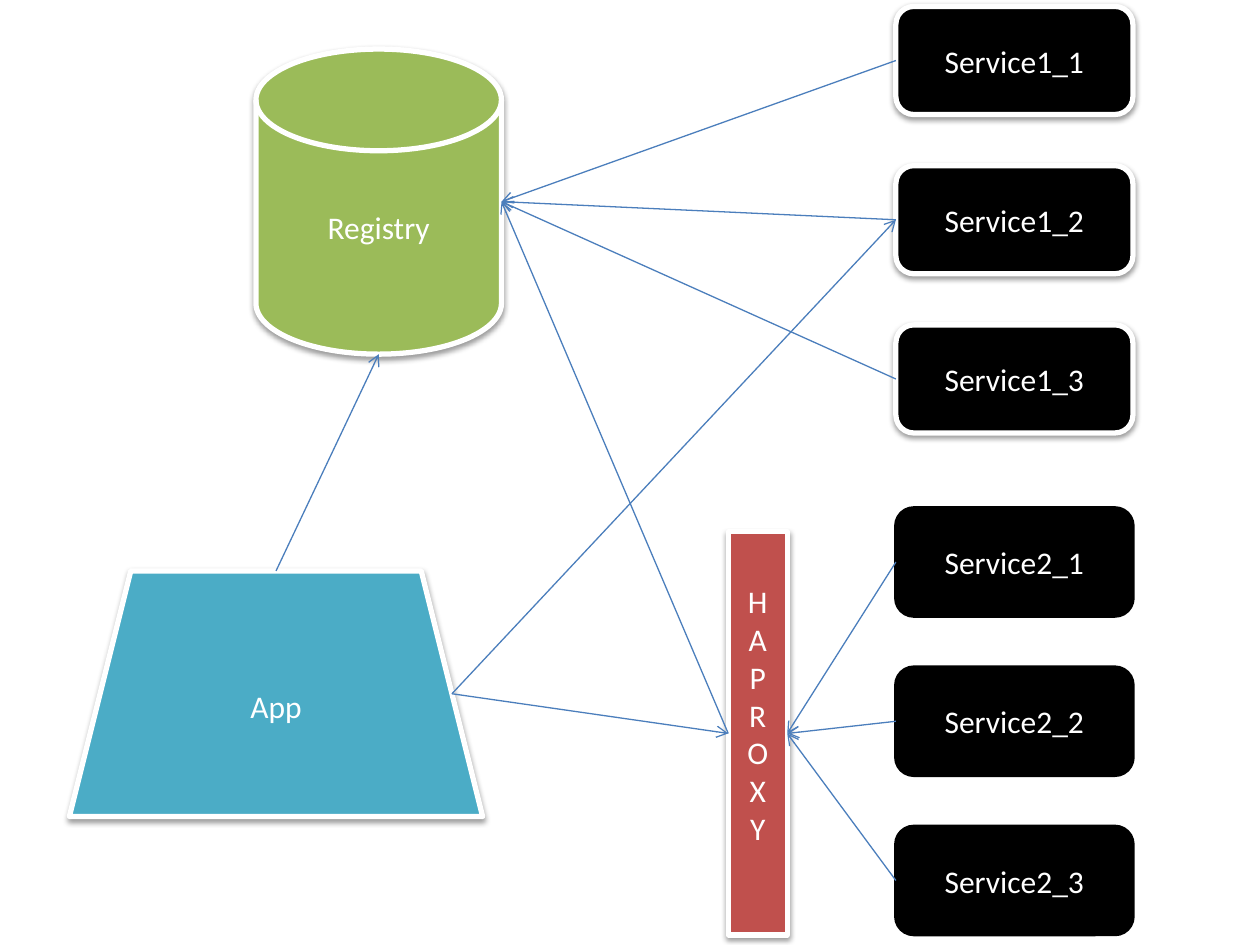
from lxml.etree import SubElement
from pptx import Presentation
from pptx.dml.color import RGBColor
from pptx.enum.shapes import MSO_CONNECTOR, MSO_SHAPE as Preset
from pptx.enum.text import MSO_ANCHOR, PP_ALIGN
from pptx.oxml.ns import qn
from pptx.util import Cm, Pt

BLACK = RGBColor(0x00, 0x00, 0x00)
WHITE = RGBColor(0xFF, 0xFF, 0xFF)
RED = RGBColor(0xC0, 0x50, 0x4D)
GREEN = RGBColor(0x9B, 0xBB, 0x59)
TEAL = RGBColor(0x4B, 0xAC, 0xC6)
BLUE = RGBColor(0x4B, 0x7E, 0xBC)

TOP, LEFT, BOTTOM, RIGHT = range(4)


class Diagram:
    font, size = "Calibri", Pt(18)

    def __init__(self, slide):
        self.slide = slide

    def node(self, preset, box, fill, lines, framed=True):
        """Add a labelled shape; a framed one has a white border and a shadow."""
        shape = self.slide.shapes.add_shape(preset, *(Cm(v) for v in box))
        shape.fill.solid()
        shape.fill.fore_color.rgb = fill
        shape.line.color.rgb = WHITE if framed else fill
        shape.line.width = Pt(3 if framed else 2)
        shape.shadow.inherit = False
        if framed:
            self.add_shadow(shape)
        frame = shape.text_frame
        frame.word_wrap = True
        frame.vertical_anchor = MSO_ANCHOR.MIDDLE
        for i, line in enumerate(lines):
            paragraph = frame.add_paragraph() if i else frame.paragraphs[0]
            paragraph.alignment = PP_ALIGN.CENTER
            run = paragraph.add_run()
            run.text = line
            run.font.name, run.font.size = self.font, self.size
            run.font.color.rgb = WHITE
        return shape

    def add_shadow(self, shape):
        effects = shape.element.spPr.find(qn("a:effectLst"))
        shadow = SubElement(effects, qn("a:outerShdw"), blurRad="40000", dist="20000",
                            dir="5400000", rotWithShape="0")
        color = SubElement(shadow, qn("a:srgbClr"), val=str(BLACK))
        SubElement(color, qn("a:alpha"), val="38000")

    def arrow(self, start, end):
        """Link two ends, each a (shape, side) pair to join or a bare (x, y) point."""
        link = self.slide.shapes.add_connector(
            MSO_CONNECTOR.STRAIGHT, *self.locate(start), *self.locate(end))
        for target, connect in ((start, link.begin_connect), (end, link.end_connect)):
            if hasattr(target[0], "width"):
                connect(*target)
        link.line.color.rgb = BLUE
        link.line.width = Pt(0.75)
        properties = link.element.spPr
        SubElement(properties.find(qn("a:ln")), qn("a:tailEnd"), type="arrow")
        SubElement(properties, qn("a:effectLst"))

    def locate(self, target):
        return side_middle(*target) if hasattr(target[0], "width") else target


def side_middle(shape, side):
    dx, dy = {TOP: (1, 0), LEFT: (0, 1), BOTTOM: (1, 2), RIGHT: (2, 1)}[side]
    return shape.left + shape.width * dx // 2, shape.top + shape.height * dy // 2


def main():
    prs = Presentation()
    prs.slide_width, prs.slide_height = Cm(25.4), Cm(19.05)
    diagram = Diagram(prs.slides.add_slide(prs.slide_layouts[6]))

    # Two columns of three service instances
    def services(group, top, framed):
        return [diagram.node(Preset.FLOWCHART_ALTERNATE_PROCESS,
                             (18.06, top + 3.21 * i, 4.78, 2.18), BLACK,
                             [f"Service{group}_{i + 1}"], framed)
                for i in range(3)]

    proxied = services(2, 10.24, False)
    direct = services(1, 0.13, True)

    # Proxy, registry and application
    haproxy = diagram.node(Preset.RECTANGLE, (14.68, 10.72, 1.19, 8.13), RED,
                           ["HA", *"PROXY"])
    haproxy.text_frame.margin_bottom = Cm(0.89)
    registry = diagram.node(Preset.FLOWCHART_MAGNETIC_DISK, (5.16, 0.99, 4.95, 6.15),
                            GREEN, ["Registry"])
    app = diagram.node(Preset.TRAPEZOID, (1.4, 11.51, 8.33, 4.95), TEAL, ["App"])

    # Registrations
    registry_right = side_middle(registry, RIGHT)
    for service in direct:
        diagram.arrow((service, LEFT), registry_right)
    diagram.arrow((haproxy, LEFT), registry_right)
    for service in proxied:
        diagram.arrow((service, LEFT), (haproxy, RIGHT))

    # Application calls, leaving from the middle of its slanted side
    right, middle = side_middle(app, RIGHT)
    app_right = right - app.height // 8, middle
    diagram.arrow((app, TOP), side_middle(registry, BOTTOM))
    diagram.arrow(app_right, (haproxy, LEFT))
    diagram.arrow(app_right, (direct[1], LEFT))

    prs.save("out.pptx")


if __name__ == "__main__":
    main()
